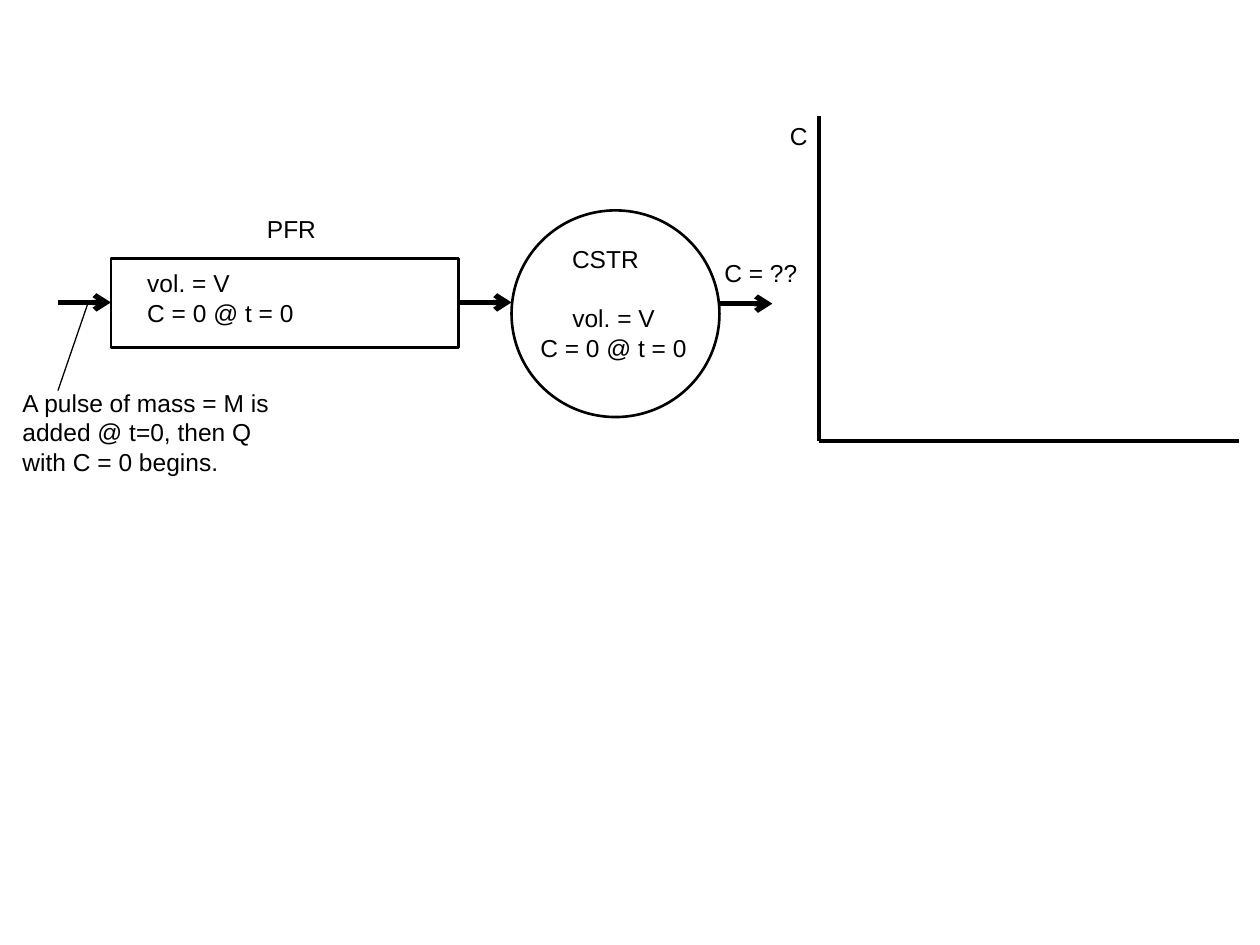
import dataclasses

import lxml.etree
import pptx
import pptx.dml.color
import pptx.enum.shapes
import pptx.enum.text
import pptx.oxml.ns
import pptx.util

Inches = pptx.util.Inches
Pt = pptx.util.Pt
SHAPE = pptx.enum.shapes.MSO_SHAPE
ALIGN = pptx.enum.text.PP_ALIGN
qn = pptx.oxml.ns.qn

COLORS = {"ink": "000000", "paper": "FFFFFF"}
FONT = "Arial"
FLOW_Y = 2.4
ORIGIN = (6.5, 3.5)


@dataclasses.dataclass
class Reactor:
    kind: SHAPE
    left: float
    top: float
    width: float
    height: float


@dataclasses.dataclass
class Label:
    left: float
    top: float
    width: float
    height: float
    lines: tuple[str, ...]
    align: ALIGN = ALIGN.LEFT


@dataclasses.dataclass
class Line:
    start: tuple[float, float]
    end: tuple[float, float]
    weight: float
    arrow: bool = False


def rgb(name: str) -> pptx.dml.color.RGBColor:
    return pptx.dml.color.RGBColor.from_string(COLORS[name])


def flow(x: float, y: float = FLOW_Y) -> Line:
    return Line((x, y), (x + 0.42, y), 3, arrow=True)


REACTORS = [
    Reactor(SHAPE.RECTANGLE, 0.88, 2.05, 2.76, 0.71),
    Reactor(SHAPE.OVAL, 4.06, 1.67, 1.65, 1.64),
]
CONTENTS = ("vol. = V", "C = 0 @ t = 0")
LABELS = [
    Label(2.02, 1.65, 1.01, 0.34, ("PFR",)),
    Label(1.07, 2.08, 1.68, 0.57, CONTENTS),
    Label(4.3, 1.89, 1.01, 0.34, ("CSTR",), ALIGN.CENTER),
    Label(4.03, 2.36, 1.68, 0.57, CONTENTS, ALIGN.CENTER),
    Label(0.08, 3.03, 2.31, 0.81,
          ("A pulse of mass = M is added @ t=0, then Q with C = 0 begins.",)),
    Label(5.65, 2, 1.68, 0.34, ("C = ??",)),
    Label(6.17, 0.91, 0.5, 0.34, ("C",)),
]
LINES = [
    flow(0.46),
    flow(3.64),
    flow(5.71, 2.41),
    Line((0.7, FLOW_Y), (0.46, 3.1), 0.75),
    Line((6.5, 0.92), ORIGIN, 2),
    Line(ORIGIN, (9.83, 3.5), 2),
]


def draw_reactor(s: pptx.slide.Slide, reactor: Reactor) -> None:
    sp = s.shapes.add_shape(reactor.kind, Inches(reactor.left), Inches(reactor.top),
                            Inches(reactor.width), Inches(reactor.height))
    sp.shadow.inherit = False
    sp.fill.background()
    sp.line.color.rgb = rgb("ink")
    sp.line.width = Pt(1.5)


def draw_label(s: pptx.slide.Slide, label: Label) -> None:
    sp = s.shapes.add_textbox(Inches(label.left), Inches(label.top),
                              Inches(label.width), Inches(label.height))
    tf = sp.text_frame
    tf.word_wrap = True
    tf.auto_size = pptx.enum.text.MSO_AUTO_SIZE.SHAPE_TO_FIT_TEXT
    for i, text in enumerate(label.lines):
        p = tf.add_paragraph() if i else tf.paragraphs[0]
        p.alignment = label.align
        r = p.add_run()
        r.text = text
        r.font.name = FONT
        r.font.size = Pt(14)
        r.font.color.rgb = rgb("ink")


def draw_line(s: pptx.slide.Slide, line: Line) -> None:
    points = [Inches(v) for v in (*line.start, *line.end)]
    sp = s.shapes.add_connector(pptx.enum.shapes.MSO_CONNECTOR.STRAIGHT, *points)
    sp.line.color.rgb = rgb("ink")
    sp.line.width = Pt(line.weight)
    if line.arrow:
        lxml.etree.SubElement(sp.line._get_or_add_ln(), qn("a:tailEnd"), type="arrow")
    lxml.etree.SubElement(sp._element.spPr, qn("a:effectLst"))


def main() -> None:
    """Build the slide of a PFR and a CSTR in series with empty response axes."""
    prs = pptx.Presentation()
    prs.slide_width, prs.slide_height = Inches(10), Inches(7.5)
    s = prs.slides.add_slide(prs.slide_layouts[6])
    s.background.fill.solid()
    s.background.fill.fore_color.rgb = rgb("paper")
    for reactor in REACTORS:
        draw_reactor(s, reactor)
    for line in LINES:
        draw_line(s, line)
    for label in LABELS:
        draw_label(s, label)
    prs.save("out.pptx")


if __name__ == "__main__":
    main()
